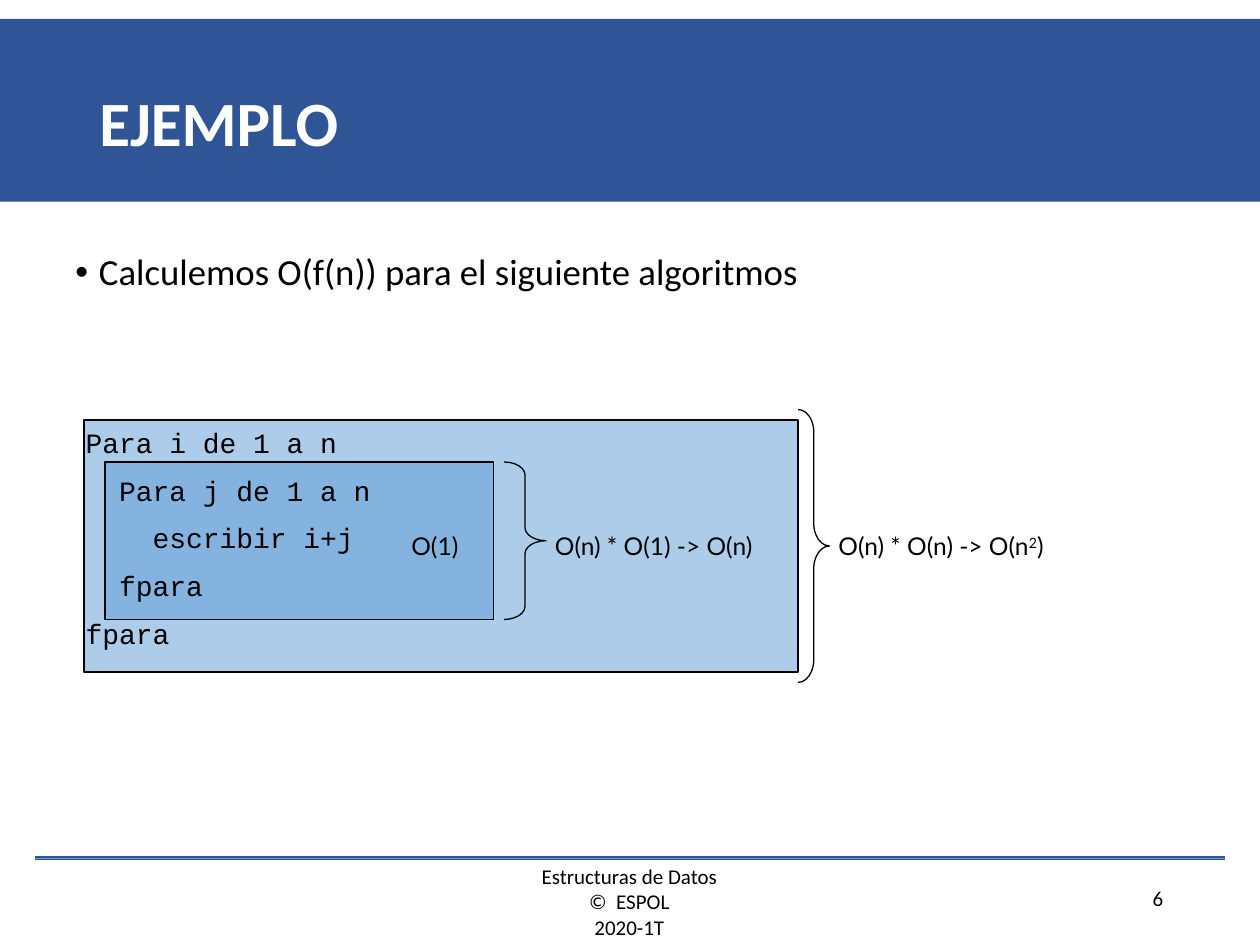
from dataclasses import dataclass
from typing import Any, NamedTuple

from pptx import Presentation
from pptx.dml.color import RGBColor as Rgb
from pptx.enum.shapes import MSO_CONNECTOR as Line, MSO_SHAPE as Shape
from pptx.enum.text import MSO_ANCHOR as Anchor, PP_ALIGN as Align
from pptx.oxml.ns import qn
from pptx.slide import Slide
from pptx.util import Pt
from lxml.etree import SubElement


@dataclass(frozen=True)
class Theme:
    ink: Rgb = Rgb(0x00, 0x00, 0x00)
    paper: Rgb = Rgb(0xFF, 0xFF, 0xFF)
    banner: Rgb = Rgb(0x2F, 0x55, 0x97)
    accent: Rgb = Rgb(0x5B, 0x9B, 0xD5)
    block_opacity: int = 50000
    outline: float = 0.75
    title_size: float = 36
    body_size: float = 21
    code_size: float = 16
    label_size: float = 14
    footer_size: float = 12
    text_font: str = "Calibri"
    code_font: str = "Courier New"
    label_font: str = "Lato"


THEME = Theme()


class Box(NamedTuple):
    left: float
    top: float
    width: float
    height: float

    def emu(self) -> list[int]:
        return [Pt(length) for length in self]


class Brace(NamedTuple):
    box: Box
    curve: float


class Rule(NamedTuple):
    color: Rgb
    weight: float


class Cost(NamedTuple):
    box: Box
    formula: str
    power: str = ""
    ending: str = ""


BANNER = Box(0, 10.8, 720, 104.4)
BLOCKS = [Box(48, 240, 408, 144), Box(60, 264, 222, 90)]
BRACES = [Brace(Box(288, 264, 24, 90), 0.31), Brace(Box(456, 234, 18, 156), 0.72)]
RULES = [Rule(THEME.banner, 2.25), Rule(THEME.accent, 0.5)]
COST_TOP, COST_HEIGHT = 300, 24
COSTS = [
    Cost(Box(228, COST_TOP, 42, COST_HEIGHT), "O(1)"),
    Cost(Box(310, COST_TOP, 140, COST_HEIGHT), "O(n) * O(1) -> O(n)"),
    Cost(Box(472, COST_TOP, 145, COST_HEIGHT), "O(n) * O(n) -> O(n", "2", ")"),
]
CODE = [
    "Para i de 1 a n",
    "  Para j de 1 a n",
    "    escribir i+j",
    "  fpara",
    "fpara",
]
FOOTER = ["Estructuras de Datos", "©  ESPOL", "2020-1T"]


def apply(target: Any, values: dict[str, Any]) -> None:
    for name, value in values.items():
        setattr(target, name, value)


def font_format(name: str, size: float, color: Rgb = THEME.ink, **extra: Any) -> dict[str, Any]:
    return {"name": name, "size": Pt(size), "color.rgb": color, **extra}


def style_font(font: Any, values: dict[str, Any]) -> None:
    apply(font, {name: value for name, value in values.items() if name != "color.rgb"})
    font.color.rgb = values["color.rgb"]


def add_text(slide: Slide, box: Box, lines: list[str], font: dict[str, Any],
             frame_format: dict[str, Any] | None = None,
             paragraph_format: dict[str, Any] | None = None, gap: float = 0) -> Any:
    frame = slide.shapes.add_textbox(*box.emu()).text_frame
    apply(frame, {"word_wrap": True, **(frame_format or {})})
    for index, line in enumerate(lines):
        paragraph = frame.add_paragraph() if index else frame.paragraphs[0]
        apply(paragraph, paragraph_format or {})
        if index and gap:
            paragraph.space_before = Pt(gap)
        run = paragraph.add_run()
        run.text = line
        style_font(run.font, font)
    return frame


def add_bullet(paragraph: Any, indent: float) -> None:
    properties = paragraph._p.get_or_add_pPr()
    properties.set("marL", str(Pt(indent)))
    properties.set("indent", str(-Pt(indent)))
    SubElement(properties, qn("a:buFont"), typeface="Arial")
    SubElement(properties, qn("a:buChar"), char="•")


def add_banner(slide: Slide, box: Box) -> None:
    banner = slide.shapes.add_shape(Shape.RECTANGLE, *box.emu())
    banner.shadow.inherit = False
    banner.fill.solid()
    banner.fill.fore_color.rgb = THEME.banner
    banner.line.fill.background()


def outline(shape: Any) -> None:
    shape.shadow.inherit = False
    shape.line.color.rgb = THEME.ink
    shape.line.width = Pt(THEME.outline)


def add_block(slide: Slide, box: Box) -> None:
    block = slide.shapes.add_shape(Shape.RECTANGLE, *box.emu())
    outline(block)
    block.fill.solid()
    block.fill.fore_color.rgb = THEME.accent
    color = block.fill._xPr.find(qn("a:solidFill"))[0]
    SubElement(color, qn("a:alpha"), val=str(THEME.block_opacity))


def add_brace(slide: Slide, brace: Brace) -> None:
    bracket = slide.shapes.add_shape(Shape.RIGHT_BRACE, *brace.box.emu())
    outline(bracket)
    bracket.fill.background()
    bracket.adjustments[0] = brace.curve
    bracket.adjustments[1] = 0.5


def add_rule(slide: Slide, rule: Rule) -> None:
    ends = [Pt(length) for length in (20, 490.4, 700, 490.4)]
    divider = slide.shapes.add_connector(Line.STRAIGHT, *ends)
    divider.line.color.rgb = rule.color
    divider.line.width = Pt(rule.weight)
    SubElement(divider._element.spPr, qn("a:effectLst"))


def add_cost(slide: Slide, cost: Cost) -> None:
    font = font_format(THEME.label_font, THEME.label_size)
    frame = add_text(slide, cost.box, [cost.formula], font, {"word_wrap": False})
    if cost.power:
        for text, baseline in ((cost.power, "30000"), (cost.ending, "0")):
            run = frame.paragraphs[0].add_run()
            run.text = text
            style_font(run.font, font)
            run.font._element.set("baseline", baseline)


def main() -> None:
    deck = Presentation()
    apply(deck, {"slide_width": Pt(720), "slide_height": Pt(540)})
    slide = deck.slides.add_slide(deck.slide_layouts[6])

    footer_font = font_format(THEME.text_font, THEME.footer_size)
    add_text(slide, Box(234, 490, 251.3, 51), FOOTER, footer_font,
             paragraph_format={"alignment": Align.CENTER})
    add_text(slide, Box(518.4, 502.6, 153.4, 21.6), ["6"], footer_font,
             paragraph_format={"alignment": Align.RIGHT})
    for rule in RULES:
        add_rule(slide, rule)
    add_banner(slide, BANNER)

    add_text(slide, Box(49.7, 28.8, 620.6, 86.4), ["EJEMPLO"],
             font_format(THEME.text_font, THEME.title_size, THEME.paper, bold=True),
             {"vertical_anchor": Anchor.MIDDLE}, {"line_spacing": 0.9})
    body = add_text(slide, Box(36, 141.5, 648, 108.7),
                    ["Calculemos O(f(n)) para el siguiente algoritmos"],
                    font_format(THEME.text_font, THEME.body_size),
                    paragraph_format={"line_spacing": 0.9})
    add_bullet(body.paragraphs[0], 13.5)

    for block in BLOCKS:
        add_block(slide, block)
    add_text(slide, Box(41.8, 239.8, 178, 142), CODE,
             font_format(THEME.code_font, THEME.code_size),
             {"word_wrap": False}, gap=8)
    for brace in BRACES:
        add_brace(slide, brace)
    for cost in COSTS:
        add_cost(slide, cost)

    deck.save("out.pptx")


if __name__ == "__main__":
    main()
